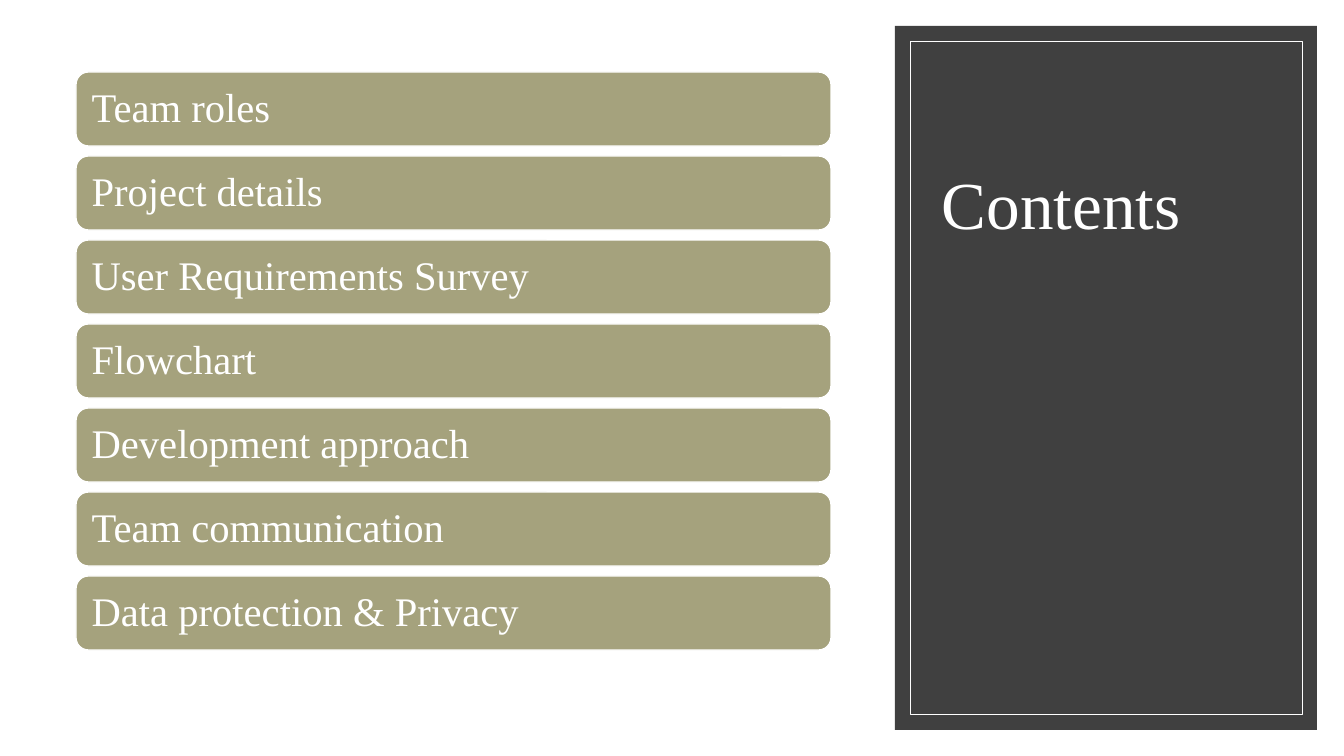
import pptx
import pptx.dml.color
import pptx.enum.shapes
import pptx.enum.text
import pptx.util

FONT = "Times New Roman"
WHITE = "FFFFFF"
DARK = "404040"
OLIVE = "A5A27D"
SHAPE = pptx.enum.shapes.MSO_SHAPE
ANCHOR = pptx.enum.text.MSO_ANCHOR

TOPICS = [
    "Team roles",
    "Project details",
    "User Requirements Survey",
    "Flowchart",
    "Development approach",
    "Team communication",
    "Data protection\u00a0& Privacy".replace("\u00a0", " "),
]


def px(count):
    """Turn pixels (100.8 to the inch) into EMU."""
    return pptx.util.Emu(round(count * 914400 / 100.8))


def color(code):
    return pptx.dml.color.RGBColor.from_string(code)


def add_box(slide, kind, area, fill=None, line=None, weight=1):
    box = slide.shapes.add_shape(kind, *map(px, area))
    box.shadow.inherit = False
    if fill:
        box.fill.solid()
        box.fill.fore_color.rgb = color(fill)
    else:
        box.fill.background()
    if line:
        box.line.color.rgb = color(line)
        box.line.width = pptx.util.Pt(weight)
    else:
        box.line.fill.background()
    return box


def set_text(box, text, size, anchor, inset, space=1.0):
    """Write one white, left-aligned line; inset is (side, top and bottom)."""
    frame = box.text_frame
    frame.text = text
    frame.word_wrap = True
    frame.vertical_anchor = anchor
    side, edge = map(px, inset)
    frame.margin_left = frame.margin_right = side
    frame.margin_top = frame.margin_bottom = edge
    line = frame.paragraphs[0]
    line.alignment = pptx.enum.text.PP_ALIGN.LEFT
    line.line_spacing = space
    font = line.runs[0].font
    font.name = FONT
    font.size = pptx.util.Pt(size)
    font.color.rgb = color(WHITE)


def add_panel(slide, title):
    add_box(slide, SHAPE.RECTANGLE, (895, 26, 422, 704), fill=DARK)
    add_box(slide, SHAPE.RECTANGLE, (910, 41, 392, 673), line=WHITE, weight=0.5)
    head = slide.shapes.add_textbox(*map(px, (932, 67, 349, 181)))
    set_text(head, title, 48, ANCHOR.BOTTOM, (10, 5))


def add_topics(slide, topics):
    for row, topic in enumerate(topics):
        area = (76, 72 + 84 * row, 755, 74)
        bar = add_box(slide, SHAPE.ROUNDED_RECTANGLE, area, OLIVE, WHITE)
        set_text(bar, topic, 29, ANCHOR.MIDDLE, (12, 12), 0.9)


def main():
    deck = pptx.Presentation()
    deck.slide_width, deck.slide_height = px(1344), px(756)
    slide = deck.slides.add_slide(deck.slide_layouts[6])
    add_panel(slide, "Contents")
    add_topics(slide, TOPICS)
    deck.save("out.pptx")


if __name__ == "__main__":
    main()
